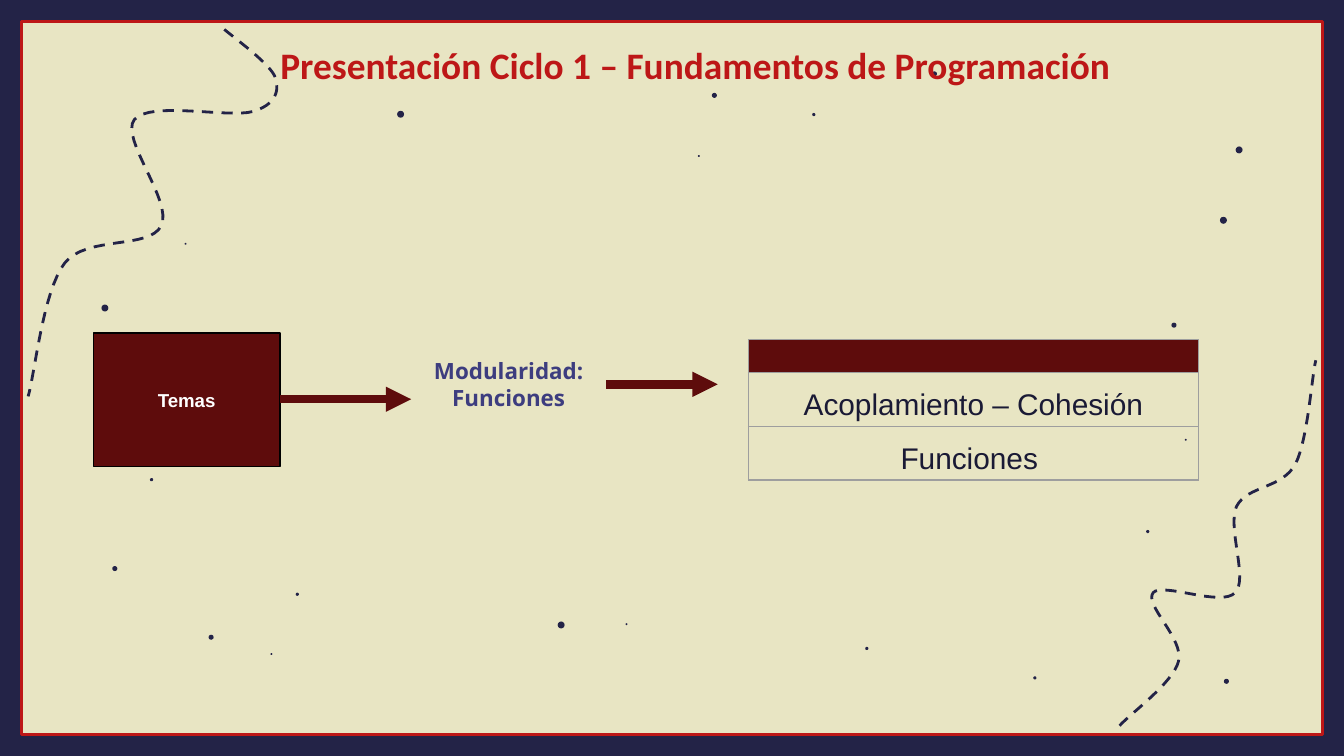
from lxml import etree
from pptx import Presentation
from pptx.dml.color import RGBColor
from pptx.enum.dml import MSO_LINE
from pptx.enum.shapes import MSO_CONNECTOR, MSO_SHAPE
from pptx.enum.text import MSO_ANCHOR, PP_ALIGN
from pptx.oxml.ns import qn
from pptx.util import Pt

CREAM = RGBColor(0xE8, 0xE5, 0xC3)
NAVY = RGBColor(0x23, 0x23, 0x47)
RED = RGBColor(0xBD, 0x17, 0x17)
MAROON = RGBColor(0x5E, 0x0C, 0x0C)
INDIGO = RGBColor(0x3D, 0x3D, 0x7F)
INK = RGBColor(0x1A, 0x1A, 0x35)
BLACK = RGBColor(0, 0, 0)
WHITE = RGBColor(0xFF, 0xFF, 0xFF)
GREY = "9E9E9E"

W, H, BAR = 720, 405, 11.5


def add_shape(kind, x, y, w, h, fill=None, line=None, width=0.75):
    sp = s.shapes.add_shape(kind, Pt(x), Pt(y), Pt(w), Pt(h))
    sp.shadow.inherit = False
    if fill is None:
        sp.fill.background()
    else:
        sp.fill.solid()
        sp.fill.fore_color.rgb = fill
    if line is None:
        sp.line.fill.background()
    else:
        sp.line.color.rgb = line
        sp.line.width = Pt(width)
    return sp


def set_text(tf, text, font, size, color, bold=True):
    tf.word_wrap = True
    p = tf.paragraphs[0]
    p.text = text
    p.alignment = PP_ALIGN.CENTER
    p.font.name = font
    p.font.size = Pt(size)
    p.font.bold = bold
    p.font.color.rgb = color
    return p


prs = Presentation()
prs.slide_width, prs.slide_height = Pt(W), Pt(H)
s = prs.slides.add_slide(prs.slide_layouts[6])
s.background.fill.solid()
s.background.fill.fore_color.rgb = CREAM

for x, y, w, h in [(0, 0, W, BAR), (0, H - BAR, W, BAR),
                   (0, 0, BAR, H), (W - BAR, 0, BAR, H)]:
    add_shape(MSO_SHAPE.RECTANGLE, x, y, w, h, NAVY)
add_shape(MSO_SHAPE.RECTANGLE, BAR, BAR, W - 2 * BAR, H - 2 * BAR, line=RED, width=1.5)

trails = [
    [(120.2, 15.8), (125.3, 20.2), (145.4, 34.6), (147.6, 41.8),
     (149.8, 49), (147.6, 56.2), (135.4, 59.8),
     (122.4, 63.4), (80.6, 54), (72, 64.1),
     (64.1, 74.2), (92.9, 108), (86.4, 121),
     (79.9, 133.9), (46.1, 126), (34.6, 141.1),
     (23, 156.2), (18.7, 200.2), (15.1, 212.4)],
    [(599.8, 388.8), (604.8, 383), (628.6, 365.8), (631.4, 354.2),
     (634.3, 342), (612.7, 324), (617.8, 317.5),
     (622.8, 311.8), (654.5, 325.4), (661.7, 317.5),
     (668.9, 310.3), (657.4, 283), (662.4, 271.4),
     (668.2, 259.9), (686.9, 262.1), (694.1, 248.4),
     (700.6, 235.4), (702.7, 202.3), (704.9, 193)],
]
STEPS = 16
for trail in trails:
    points = []
    for i in range(0, len(trail) - 1, 3):
        for step in range(1, STEPS + 1):
            t = step / STEPS
            weights = ((1 - t) ** 3, 3 * t * (1 - t) ** 2, 3 * t * t * (1 - t), t ** 3)
            points.append([Pt(sum(k * c[axis] for k, c in zip(weights, trail[i:i + 4])))
                           for axis in (0, 1)])
    start_x, start_y = trail[0]
    fb = s.shapes.build_freeform(Pt(start_x), Pt(start_y))
    fb.add_line_segments(points, close=False)
    sp = fb.convert_to_shape()
    sp.shadow.inherit = False
    sp.fill.background()
    sp.line.color.rgb = NAVY
    sp.line.width = Pt(1.5)
    sp.line.dash_style = MSO_LINE.DASH

dots = {
    3.7: [(300.6, 334.8), (214.6, 61.2), (56.2, 165), (663.8, 80.3), (655.4, 118)],
    2.7: [(382.7, 51.1), (657, 365), (628.9, 174.2), (500.6, 39.6), (61.5, 304.6),
          (113.1, 341.4)],
    1.7: [(81.2, 257), (464.4, 347.4), (436, 61.4), (614.9, 284.8), (554.4, 363.2),
          (159.3, 318.4)],
    1: [(335.6, 334.4), (374.4, 83.6), (635.2, 235.6), (99.4, 130.6), (145.4, 350.4)],
}
for d, centers in dots.items():
    for x, y in centers:
        add_shape(MSO_SHAPE.OVAL, x - d / 2, y - d / 2, d, d, NAVY)

sp = add_shape(MSO_SHAPE.RECTANGLE, 50, 178.4, 100, 71.4, MAROON, BLACK)
sp.text_frame.vertical_anchor = MSO_ANCHOR.MIDDLE
set_text(sp.text_frame, "Temas", "Arial", 10, WHITE)

for x1, x2, y in [(150, 220.3, 213.9), (324.7, 384.5, 205.9)]:
    cn = s.shapes.add_connector(MSO_CONNECTOR.STRAIGHT, Pt(x1), Pt(y), Pt(x2), Pt(y))
    cn.line.color.rgb = MAROON
    cn.line.width = Pt(4.5)
    etree.SubElement(cn.line._get_or_add_ln(), qn("a:tailEnd"), type="triangle")
    etree.SubElement(cn._element.spPr, qn("a:effectLst"))

for x, y, w, h, text, font, size, color, anchor in [
    (69.1, 5.8, 607, 48.2, "Presentación Ciclo 1 – Fundamentos de Programación",
     "Calibri", 20, RED, MSO_ANCHOR.BOTTOM),
    (220.3, 190.8, 104.4, 29.5, "Modularidad: Funciones",
     "Open Sans", 12, INDIGO, MSO_ANCHOR.MIDDLE),
]:
    tf = s.shapes.add_textbox(Pt(x), Pt(y), Pt(w), Pt(h)).text_frame
    tf.margin_left = tf.margin_right = tf.margin_top = tf.margin_bottom = Pt(7.2)
    tf.vertical_anchor = anchor
    set_text(tf, text, font, size, color)

topics = ["", "Acoplamiento – Cohesión", "Funciones "]
heights = [17.5, 26.7, 26.7]
tbl = s.shapes.add_table(3, 1, Pt(401), Pt(182), Pt(241), Pt(sum(heights))).table
tbl.first_row = tbl.horz_banding = False
for row, height, topic in zip(tbl.rows, heights, topics):
    row.height = Pt(height)
    cell = row.cells[0]
    cell.margin_left = cell.margin_right = Pt(5)
    cell.margin_top = cell.margin_bottom = 0
    if topic:
        p = set_text(cell.text_frame, topic, "Arial", 16, INK, bold=False)
        p.line_spacing = 1.5
    else:
        cell.text_frame.paragraphs[0].font.size = Pt(8)
    tcPr = cell._tc.get_or_add_tcPr()
    for side in ("lnL", "lnR", "lnT", "lnB"):
        ln = etree.SubElement(tcPr, qn("a:" + side), w=str(Pt(0.75)))
        etree.SubElement(etree.SubElement(ln, qn("a:solidFill")), qn("a:srgbClr"), val=GREY)
    if topic:
        cell.fill.background()
    else:
        cell.fill.solid()
        cell.fill.fore_color.rgb = MAROON

prs.save("out.pptx")
